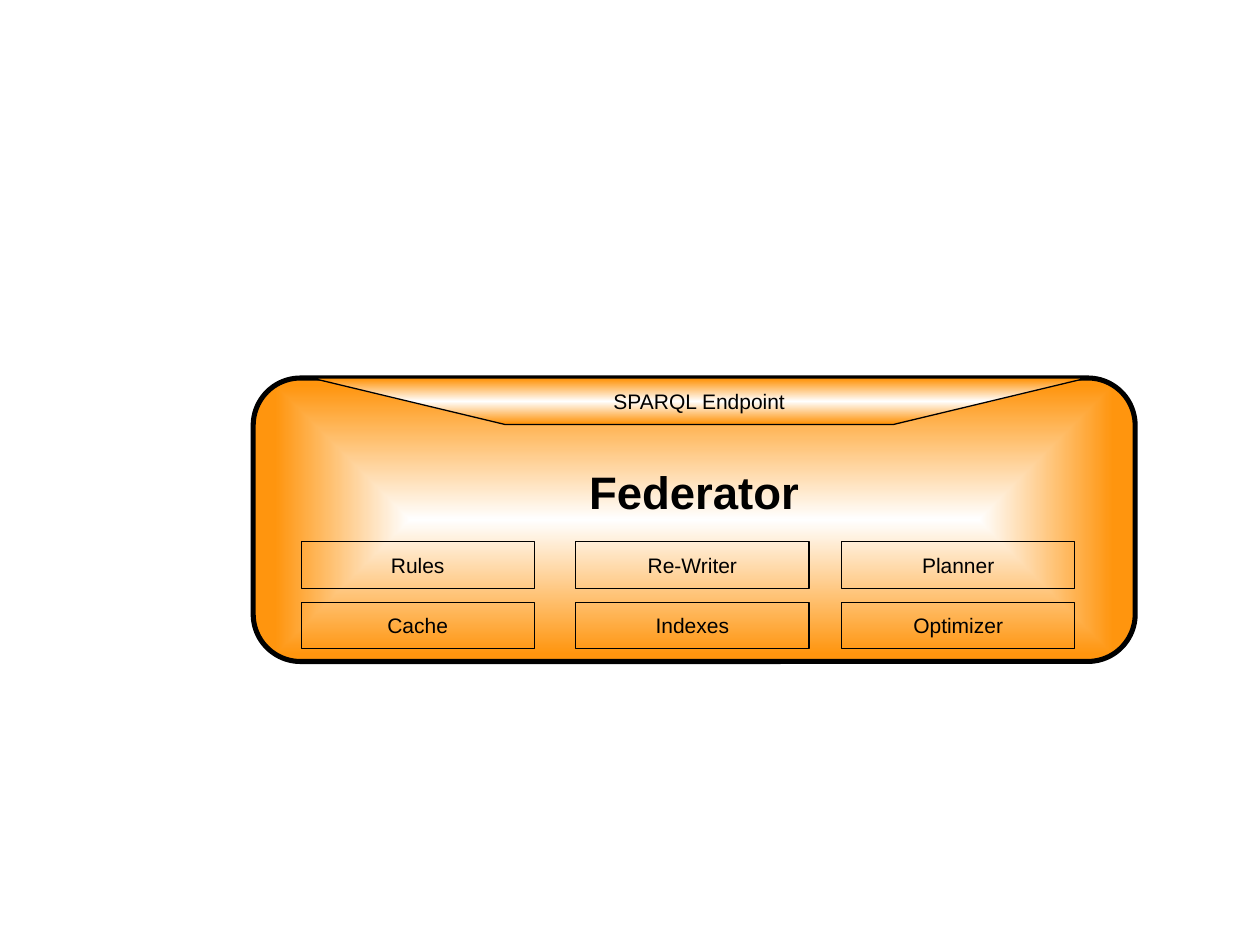
from lxml import etree
from pptx import Presentation
from pptx.dml.color import RGBColor
from pptx.enum.shapes import MSO_SHAPE
from pptx.enum.text import MSO_ANCHOR, PP_ALIGN
from pptx.oxml.ns import qn
from pptx.util import Inches, Pt

BLACK, WHITE, ORANGE = "000000", "FFFFFF", "FF950E"

COMPONENTS = [
    ["Rules", "Re-Writer", "Planner"],
    ["Cache", "Indexes", "Optimizer"],
]
COLUMN_LEFTS = [2.39, 4.57, 6.68]
ROW_TOPS = [4.3, 4.78]


def color(hex_value):
    return RGBColor.from_string(hex_value)


def fill_from_center(shape):
    """White in the middle, orange towards the edges."""
    shape.fill.gradient()
    stops = shape.fill.gradient_stops
    for stop, hex_value, position in zip(stops, (WHITE, ORANGE), (0, 0.95)):
        stop.color.rgb = color(hex_value)
        stop.position = position
    # Rectangular gradients are only available through XML
    linear = shape._element.spPr.find(qn("a:gradFill")).find(qn("a:lin"))
    rect_gradient = etree.Element(qn("a:path"), path="rect")
    center = dict.fromkeys("ltrb", "50000")
    etree.SubElement(rect_gradient, qn("a:fillToRect"), center)
    linear.getparent().replace(linear, rect_gradient)


def outline(shape, width=0):
    shape.shadow.inherit = False
    shape.line.color.rgb = color(BLACK)
    shape.line.width = Pt(width)


def write(shape, text, size=12, bold=False, insets=(0.1, 0.05, 0.1, 0.05)):
    frame = shape.text_frame
    frame.word_wrap = True
    frame.vertical_anchor = MSO_ANCHOR.MIDDLE
    (frame.margin_left, frame.margin_top,
     frame.margin_right, frame.margin_bottom) = map(Inches, insets)
    paragraph = frame.paragraphs[0]
    paragraph.alignment = PP_ALIGN.CENTER
    run = paragraph.add_run()
    run.text = text
    run.font.name = "Arial"
    run.font.size = Pt(size)
    run.font.bold = bold
    run.font.color.rgb = color(BLACK)


def add_federator(shapes):
    federator = shapes.add_shape(MSO_SHAPE.ROUNDED_RECTANGLE, Inches(2.01),
                                 Inches(3), Inches(7), Inches(2.25))
    federator.adjustments[0] = 0.167
    fill_from_center(federator)
    outline(federator, width=2.89)
    write(federator, "Federator", size=26, bold=True,
          insets=(0.12, 0.07, 0.12, 0.52))


def add_component(shapes, name, left, top):
    component = shapes.add_shape(MSO_SHAPE.RECTANGLE, Inches(left),
                                 Inches(top), Inches(1.85), Inches(0.37))
    component.fill.background()
    outline(component)
    write(component, name)


def add_endpoint(shapes):
    corners = [(8.63, 3), (7.09, 3.37), (4.01, 3.37)]
    builder = shapes.build_freeform(Inches(2.47), Inches(3))
    builder.add_line_segments([(Inches(x), Inches(y)) for x, y in corners])
    endpoint = builder.convert_to_shape()
    fill_from_center(endpoint)
    outline(endpoint)
    write(endpoint, "SPARQL Endpoint")


def main():
    prs = Presentation()
    prs.slide_width, prs.slide_height = Inches(10), Inches(7.5)
    slide = prs.slides.add_slide(prs.slide_layouts[6])
    diagram = slide.shapes.add_group_shape().shapes

    # Federator body
    add_federator(diagram)

    # Grid of internal components
    for top, names in zip(ROW_TOPS, COMPONENTS):
        for left, name in zip(COLUMN_LEFTS, names):
            add_component(diagram, name, left, top)

    # Query interface on the top edge
    add_endpoint(diagram)

    prs.save("out.pptx")


if __name__ == "__main__":
    main()
